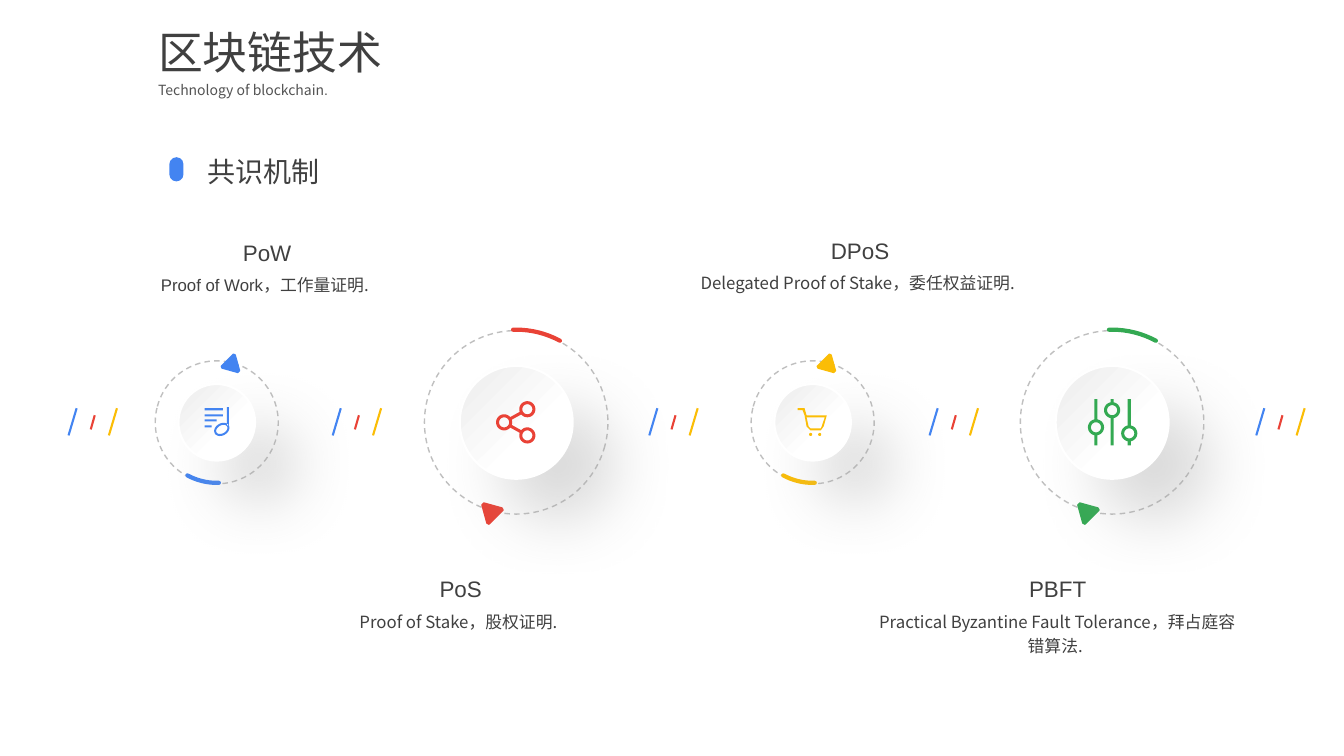
from math import cos, sin, pi, radians, hypot
from lxml.etree import SubElement
from pptx import Presentation
from pptx.dml.color import RGBColor
from pptx.enum.dml import MSO_LINE
from pptx.enum.shapes import MSO_CONNECTOR, MSO_SHAPE
from pptx.enum.text import MSO_AUTO_SIZE, PP_ALIGN
from pptx.oxml.ns import qn
from pptx.util import Inches, Pt

BLUE = RGBColor(0x43, 0x84, 0xF1)
RED = RGBColor(0xE9, 0x42, 0x36)
YELLOW = RGBColor(0xFB, 0xBD, 0x06)
GREEN = RGBColor(0x33, 0xA9, 0x52)
DARK = RGBColor(0x40, 0x40, 0x40)
SOFT = RGBColor(0x53, 0x53, 0x53)
GRAY = RGBColor(0xBF, 0xBF, 0xBF)
WHITE = RGBColor(0xFF, 0xFF, 0xFF)
SANS, CJK = "Arial", "Noto Sans CJK SC"

MECHANISMS = [
    ("PoW", [("Proof of Work，工作量证明", SANS), (". ", CJK)], 1.45, 2.32, 0.34),
    ("DPoS", [("Delegated Proof of Stake，委任权益证明. ", CJK)], 7.33, 2.3, 0.34),
    ("PoS", [("Proof of Stake，股权证明. ", CJK)], 3.37, 5.66, 0.34),
    ("PBFT", [("Practical Byzantine Fault Tolerance，拜占庭容错算法. ", CJK)], 9.29, 5.66, 0.58),
]
SLASH_LEFTS = [0.68, 3.3, 6.44, 9.22, 12.46]
SLASHES = [(0, 0.08, 4.05, 4.32, BLUE), (0.22, 0.04, 4.12, 4.26, RED),
           (0.4, 0.08, 4.05, 4.32, YELLOW)]
ARROW = [(-0.08, -0.11), (0.1, -0.06), (0.11, -0.04), (-0.03, 0.1), (-0.05, 0.09), (-0.1, -0.09)]
LARGE = dict(ring=0.91, disc=0.56, turn=195, arc_turn=180, tip=(-0.24, 0.91), scale=1)
SMALL = dict(ring=0.61, disc=0.38, turn=15, arc_turn=0, tip=(0.14, -0.59), scale=-0.86)


def oval(x, y, rx, ry, tilt=0):
    t = radians(tilt)
    angles = [2 * pi * i / 36 for i in range(36)]
    return [(x + rx * cos(a) * cos(t) - ry * sin(a) * sin(t),
             y + rx * cos(a) * sin(t) + ry * sin(a) * cos(t)) for a in angles]


def knob(x, y):
    return [oval(x, y, 0.08, 0.08), oval(x, y, 0.05, 0.05)]


def bar(x1, y1, x2, y2, width):
    length = hypot(x2 - x1, y2 - y1)
    dx, dy = (y1 - y2) / length * width / 2, (x2 - x1) / length * width / 2
    return [(x1 + dx, y1 + dy), (x2 + dx, y2 + dy), (x2 - dx, y2 - dy), (x1 - dx, y1 - dy)]


def share_icon():
    shapes = knob(-0.12, 0)
    for side in (-1, 1):
        shapes += knob(0.11, 0.13 * side)
        shapes.append(bar(-0.05, 0.04 * side, 0.04, 0.09 * side, 0.03))
    return shapes


def slider_icon():
    shapes = []
    for x, y in [(-0.16, 0.05), (0, -0.12), (0.17, 0.11)]:
        shapes += knob(x, y)
        shapes += [bar(x, -0.23, x, y - 0.08, 0.03), bar(x, y + 0.08, x, 0.23, 0.03)]
    return shapes


def music_icon():
    rows = [(-0.13, 0.06), (-0.07, 0.06), (-0.02, 0), (0.04, -0.05)]
    return [bar(-0.12, y, end, y, 0.02) for y, end in rows] + [
        bar(0.11, -0.15, 0.11, 0.03, 0.02),
        oval(0.05, 0.07, 0.08, 0.06, -30), oval(0.05, 0.07, 0.06, 0.04, -30)]


def cart_icon():
    body = [(-0.15, -0.14), (-0.08, -0.14), (-0.06, -0.07), (0.14, -0.07), (0.11, 0.04), (0.08, 0.08),
            (-0.02, 0.08), (-0.06, 0.04), (-0.08, -0.07), (-0.1, -0.12), (-0.15, -0.12)]
    basket = [(-0.06, -0.05), (0.12, -0.05), (0.09, 0.04), (0.08, 0.06), (-0.02, 0.06), (-0.04, 0.04)]
    return [body, basket] + [oval(x, 0.12, 0.015, 0.015) for x in (-0.02, 0.07)]


NODES = [(11.03, GREEN, LARGE, slider_icon()), (8.06, YELLOW, SMALL, cart_icon()),
         (5.12, RED, LARGE, share_icon()), (2.15, BLUE, SMALL, music_icon())]
CENTER_Y = 4.19

prs = Presentation()
prs.slide_width, prs.slide_height = Inches(13.33), Inches(7.5)
shapes = prs.slides.add_slide(prs.slide_layouts[6]).shapes


def style(s, fill=None, line=None, weight=1):
    s.shadow.inherit = False
    if fill is None:
        s.fill.background()
    else:
        s.fill.solid()
        s.fill.fore_color.rgb = fill
    if line is None:
        s.line.fill.background()
    else:
        s.line.color.rgb = line
        s.line.width = Pt(weight)
    return s


def circle(kind, x, y, r):
    return shapes.add_shape(kind, Inches(x - r), Inches(y - r), Inches(2 * r), Inches(2 * r))


def outline(contours, x, y, color, line=None):
    fb = None
    for contour in contours:
        pts = [(Inches(x + px), Inches(y + py)) for px, py in contour]
        if fb is None:
            fb = shapes.build_freeform(*pts[0])
        else:
            fb.move_to(*pts[0])
        fb.add_line_segments(pts[1:], close=True)
    return style(fb.convert_to_shape(), color, line)


def orbit(x, color, size):
    s = style(circle(MSO_SHAPE.OVAL, x, CENTER_Y, size["ring"]), line=GRAY)
    s.line.dash_style = MSO_LINE.DASH
    s.rotation = size["turn"]
    k, (dx, dy) = size["scale"], size["tip"]
    outline([[(k * px, k * py) for px, py in ARROW]], x + dx, CENTER_Y + dy, color, color)
    s = style(circle(MSO_SHAPE.ARC, x, CENTER_Y - 0.01, size["ring"]), line=color, weight=3)
    s.adjustments[0], s.adjustments[1] = 52.831, 71.07
    s.rotation = size["arc_turn"]
    s.line._get_or_add_ln().set("cap", "rnd")


def disc(x, r):
    s = style(circle(MSO_SHAPE.OVAL, x, CENTER_Y, r), line=WHITE, weight=1.5)
    s.fill.gradient()
    s.fill.gradient_angle = 135
    stops = s._element.spPr.find(".//" + qn("a:gsLst"))
    for stop in list(stops):
        stops.remove(stop)
    for pos, color in [(0, "FFFFFF"), (36000, "FFFFFF"), (100000, "ECECEC")]:
        gs = SubElement(stops, qn("a:gs"), pos=str(pos))
        SubElement(gs, qn("a:srgbClr"), val=color)
    effects = s._element.spPr.find(qn("a:effectLst"))
    shadow = SubElement(effects, qn("a:outerShdw"), blurRad=str(Pt(44)), dist=str(Pt(42)),
                        dir="2700000", algn="tl", rotWithShape="0")
    tint = SubElement(shadow, qn("a:srgbClr"), val="A6A6A6")
    SubElement(tint, qn("a:alpha"), val="40000")


def text(runs, x, y, w, h, size, color=DARK, align=PP_ALIGN.LEFT, spacing=None):
    tf = shapes.add_textbox(Inches(x), Inches(y), Inches(w), Inches(h)).text_frame
    tf.word_wrap = True
    tf.auto_size = MSO_AUTO_SIZE.SHAPE_TO_FIT_TEXT
    p = tf.paragraphs[0]
    p.alignment, p.line_spacing = align, spacing
    for words, font in runs:
        r = p.add_run()
        r.text = words
        r.font.name, r.font.size = font, Pt(size)
        r.font.color.rgb = color
        SubElement(r._r.get_or_add_rPr(), qn("a:ea"), typeface=CJK)


for x, color, size, icon in NODES:
    orbit(x, color, size)
for x, color, size, icon in NODES:
    disc(x, size["disc"])
    outline(icon, x, CENTER_Y, color)

for name, detail, x, y, h in MECHANISMS:
    text(detail, x - 0.73, y + 0.32, 3.85, h, 12, align=PP_ALIGN.CENTER, spacing=1.2)
    text([(name, SANS)], x, y, 2.4, 0.37, 16, align=PP_ALIGN.CENTER)

for left in SLASH_LEFTS:
    for dx, lean, top, bottom, color in SLASHES:
        c = shapes.add_connector(MSO_CONNECTOR.STRAIGHT, Inches(left + dx + lean), Inches(top),
                                 Inches(left + dx), Inches(bottom))
        c.line.color.rgb, c.line.width = color, Pt(1.5)
        SubElement(c._element.spPr, qn("a:effectLst"))

text([("区块链技术", SANS)], 1.47, 0.2, 3.67, 0.64, 32)
text([("Technology of blockchain", CJK), (".", SANS)], 1.47, 0.73, 4.34, 0.3, 10, color=SOFT, spacing=1.2)
text([("共识机制", SANS)], 1.96, 1.48, 2.7, 0.44, 20, align=PP_ALIGN.JUSTIFY)
s = style(shapes.add_shape(MSO_SHAPE.ROUNDED_RECTANGLE, Inches(1.68), Inches(1.56),
                           Inches(0.14), Inches(0.24)), BLUE)
s.adjustments[0] = 0.5

prs.save("out.pptx")
